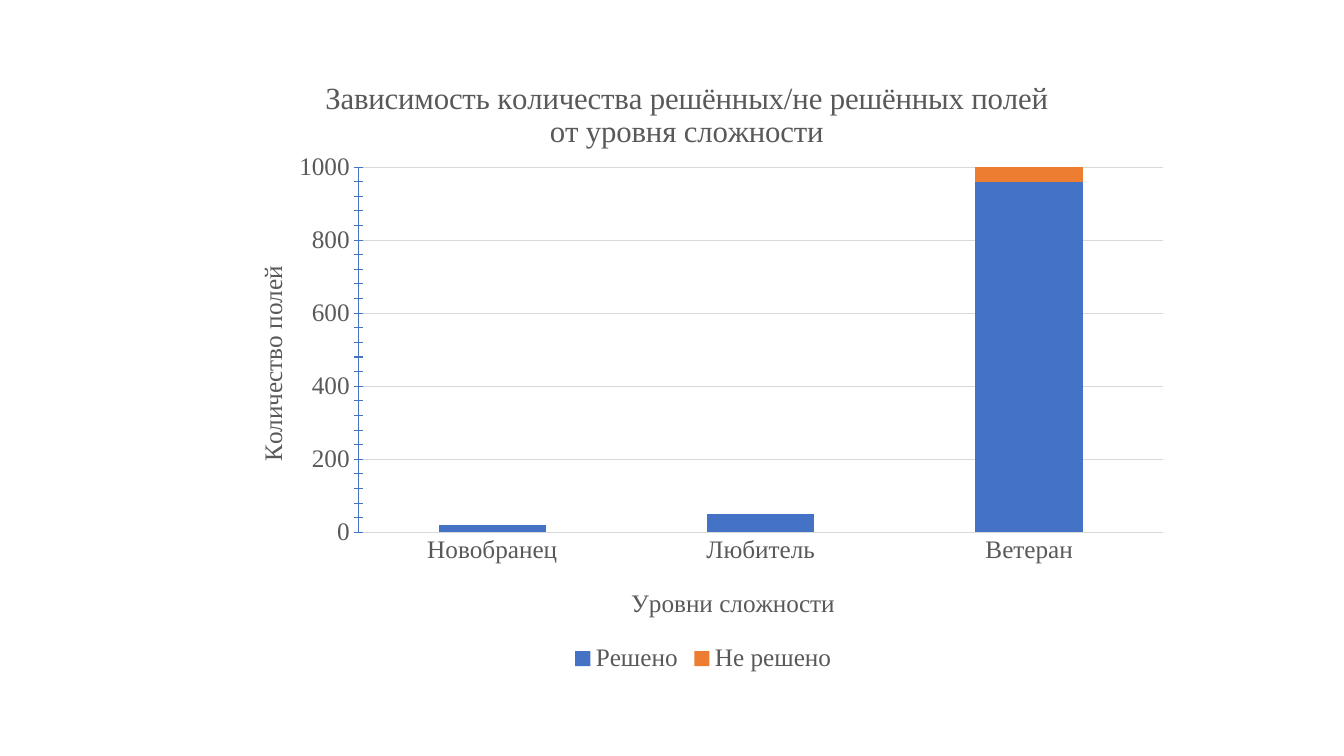
"""Build a slide with a stacked column chart of solved and unsolved fields by difficulty."""
from lxml import etree
from pptx import Presentation
from pptx import util as u
from pptx.chart import data as chart_data
from pptx.dml import color
from pptx.enum import chart as ch
from pptx.oxml import ns

THEME = {
    "font": "Times New Roman",
    "text": color.RGBColor.from_string("595959"),
    "grid": color.RGBColor.from_string("D9D9D9"),
    "solved": color.RGBColor.from_string("4472C4"),
    "unsolved": color.RGBColor.from_string("ED7D31"),
    "title": u.Pt(22),
    "label": u.Pt(18),
    "line": u.Pt(0.75),
}


def style_font(font, size):
    font.name = THEME["font"]
    font.size = size
    font.bold = False
    font.color.rgb = THEME["text"]


def place(parent, index, **values):
    for old in parent.findall(ns.qn("c:layout")):
        parent.remove(old)
    layout = etree.Element(ns.qn("c:layout"))
    parent.insert(index, layout)
    manual = etree.SubElement(layout, ns.qn("c:manualLayout"))
    for name, value in values.items():
        etree.SubElement(manual, ns.qn(f"c:{name}")).set("val", str(value))


prs = Presentation()
prs.slide_width = u.Inches(13.33)
prs.slide_height = u.Inches(7.5)
s = prs.slides.add_slide(prs.slide_layouts[6])

data = chart_data.CategoryChartData()
data.categories = ["Новобранец", "Любитель", "Ветеран"]
data.add_series("Решено", [20, 50, 960])
data.add_series("Не решено", [0, 0, 40])
chart = s.shapes.add_chart(
    ch.XL_CHART_TYPE.COLUMN_STACKED,
    u.Inches(2.22), u.Inches(0.47), u.Inches(9.51), u.Inches(6.25), data,
).chart
style_font(chart.font, THEME["label"])

plot = chart.plots[0]
plot.gap_width = 150
plot.overlap = 100
plot.vary_by_categories = False
for series, fill in zip(plot.series, ("solved", "unsolved")):
    series.format.fill.solid()
    series.format.fill.fore_color.rgb = THEME[fill]

cat_axis, val_axis = chart.category_axis, chart.value_axis
for axis, line in ((cat_axis, "grid"), (val_axis, "solved")):
    axis.major_tick_mark = axis.minor_tick_mark = ch.XL_TICK_MARK.NONE
    axis.format.line.color.rgb = THEME[line]
    axis.format.line.width = THEME["line"]
    style_font(axis.tick_labels.font, THEME["label"])

val_axis.minimum_scale = 0
val_axis.maximum_scale = 1000
val_axis.major_unit = 200
val_axis.minor_unit = 40
val_axis.minor_tick_mark = ch.XL_TICK_MARK.CROSS
val_axis.has_major_gridlines = True
val_axis.major_gridlines.format.line.color.rgb = THEME["grid"]
val_axis.major_gridlines.format.line.width = THEME["line"]

titles = (
    (chart.chart_title, "Зависимость количества решённых/не решённых полей от уровня сложности",
     "title", 0.1, 0.04),
    (cat_axis.axis_title, "Уровни сложности", "label", 0.42, 0.85),
    (val_axis.axis_title, "Количество полей", "label", 0.03, 0.34),
)
for title, wording, size, x, y in titles:
    p = title.text_frame.paragraphs[0]
    r = p.add_run()
    r.text = wording
    style_font(r.font, THEME[size])
    place(title._element, 1, xMode="edge", yMode="edge", x=x, y=y)

chart.has_legend = True
chart.legend.position = ch.XL_LEGEND_POSITION.BOTTOM
chart.legend.include_in_layout = False
style_font(chart.legend.font, THEME["label"])

place(chart._chartSpace.chart.plotArea, 0, layoutTarget="inner",
      xMode="edge", yMode="edge", x=0.14, y=0.19, w=0.84, h=0.58)

prs.save("out.pptx")
